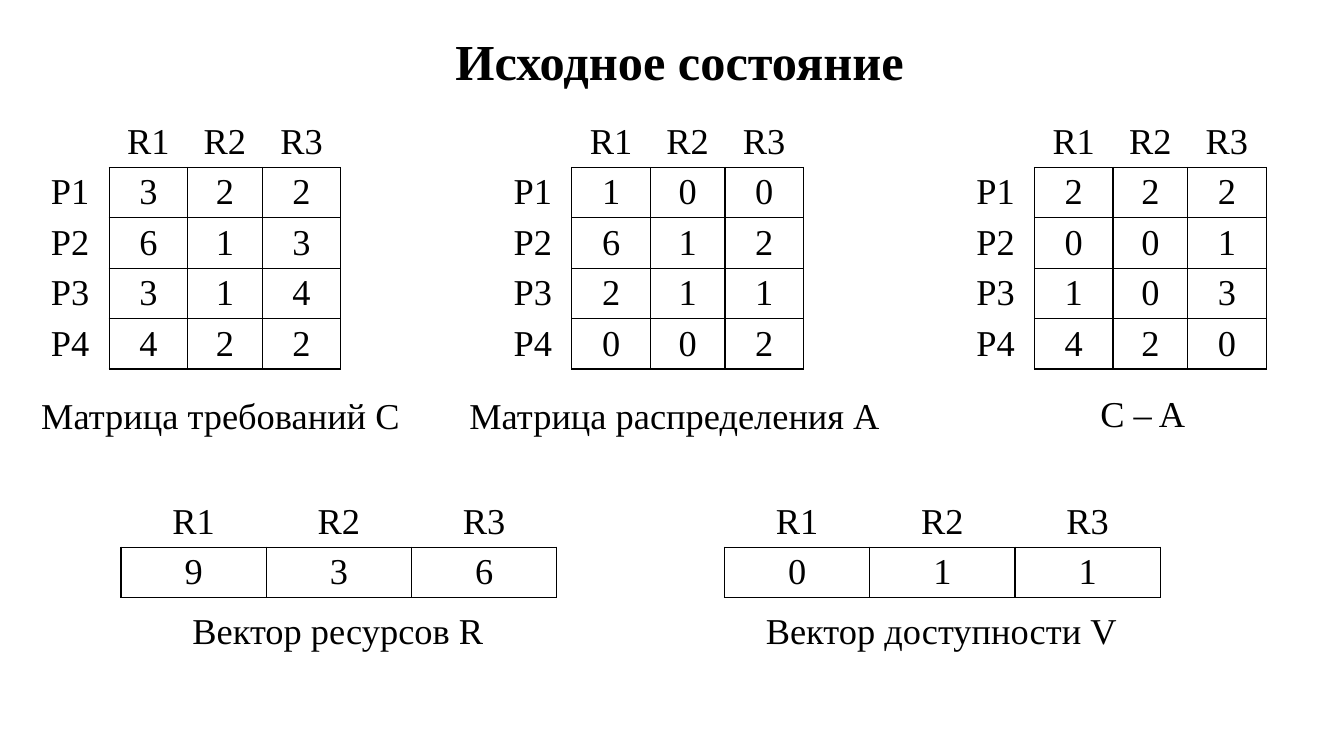
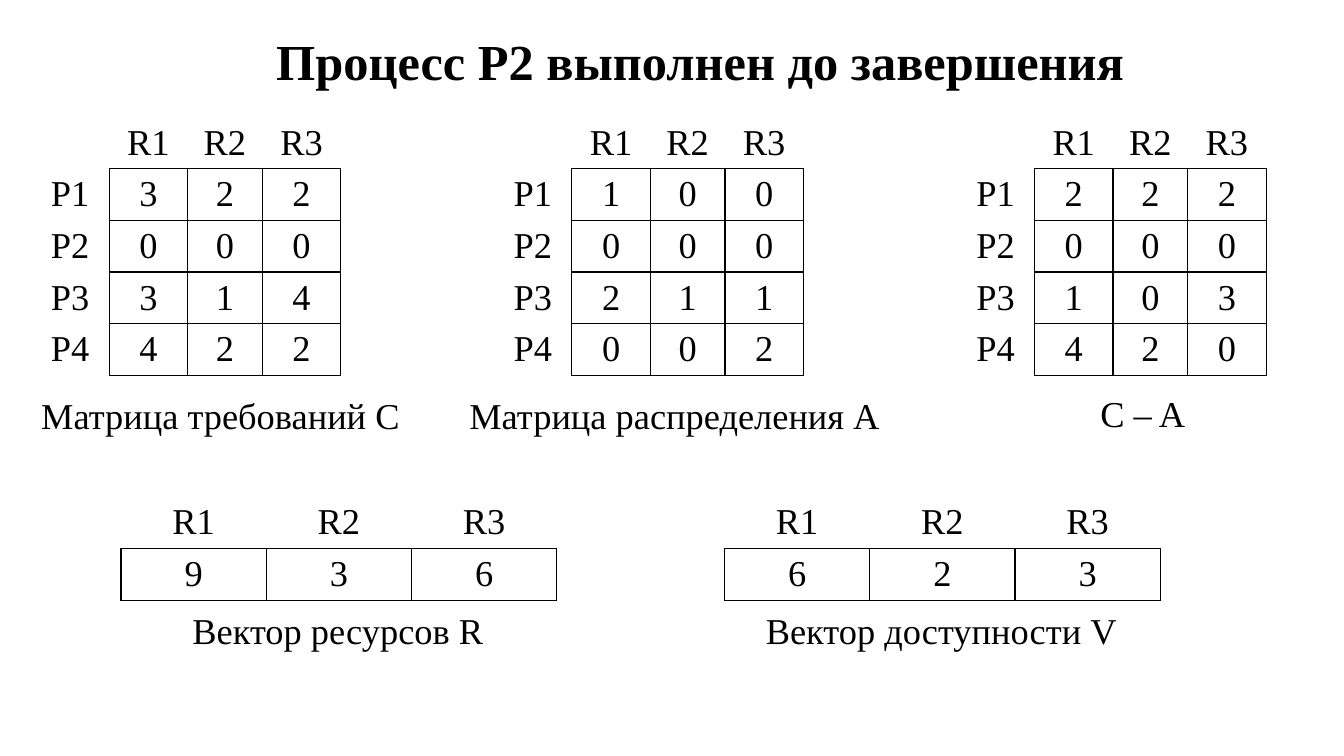
"""Build two slides that show the resource state before and after process P2 runs."""
from dataclasses import dataclass

from lxml.etree import SubElement
from pptx import Presentation
from pptx.dml.color import RGBColor
from pptx.enum.text import MSO_ANCHOR, MSO_AUTO_SIZE, PP_ALIGN
from pptx.oxml import parse_xml
from pptx.oxml.ns import nsdecls, qn
from pptx.util import Cm, Pt

HEADS = ["R1", "R2", "R3"]
TASKS = ["P1", "P2", "P3", "P4"]
STOCK = [9, 3, 6]
STATES = [
    {
        "title": ("Исходное состояние", 11.23, 11.94),
        "claims": [[3, 2, 2], [6, 1, 3], [3, 1, 4], [4, 2, 2]],
        "grants": [[1, 0, 0], [6, 1, 2], [2, 1, 1], [0, 0, 2]],
    },
    {
        "title": ("Процесс P2 выполнен до завершения", 6.71, 22.12),
        "claims": [[3, 2, 2], [0, 0, 0], [3, 1, 4], [4, 2, 2]],
        "grants": [[1, 0, 0], [0, 0, 0], [2, 1, 1], [0, 0, 2]],
    },
]
LABELS = [
    ("Матрица требований C", 0.79, 9.78, 9.63),
    ("Матрица распределения A", 11.58, 9.78, 10.9),
    ("C – A", 27.48, 9.73, 2.67),
    ("Вектор ресурсов R", 4.6, 15.21, 7.9),
    ("Вектор доступности V", 19.05, 15.21, 9.42),
]


@dataclass(frozen=True)
class Theme:
    font: str = "Times New Roman"
    ink: str = "000000"
    paper: str = "FFFFFF"
    title: int = 36
    body: int = 26
    line: int = 1


THEME = Theme()
PLAIN = "{2D5ABB26-0587-4C30-8999-92F81FD0307C}"
ROW = 1.27
PAD = 0.1
GRID = {"left": 0.79, "top": 2.95, "step": 11.66, "cols": [1.96, 1.98, 1.88, 1.98]}
STRIP = {"left": 3.05, "top": 12.52, "step": 15.21, "cols": [3.66] * 3}


def style(frame, size, bold=False):
    for run in frame.paragraphs[0].runs:
        run.font.name = THEME.font
        run.font.size = Pt(size)
        run.font.bold = bold
        run.font.color.rgb = RGBColor.from_string(THEME.ink)


def add_label(slide, text, left, top, width, size, bold=False):
    box = slide.shapes.add_textbox(Cm(left), Cm(top), Cm(width), Pt(size * 1.5))
    frame = box.text_frame
    frame.word_wrap = False
    frame.auto_size = MSO_AUTO_SIZE.SHAPE_TO_FIT_TEXT
    frame.text = text
    style(frame, size, bold)


def add_edges(cell, sides):
    props = cell._tc.get_or_add_tcPr()
    for spot, side in enumerate(sides):
        props.insert(spot, parse_xml(
            f'<a:ln{side} {nsdecls("a")} w="{Pt(THEME.line)}"><a:solidFill>'
            f'<a:srgbClr val="{THEME.ink}"/></a:solidFill></a:ln{side}>'))


def fill_cell(cell, text, sides):
    cell.margin_top = cell.margin_bottom = Cm(PAD)
    cell.vertical_anchor = MSO_ANCHOR.MIDDLE
    cell.fill.background()
    cell.text_frame.text = str(text)
    cell.text_frame.paragraphs[0].alignment = PP_ALIGN.CENTER
    style(cell.text_frame, THEME.body)
    add_edges(cell, sides)


def add_grid(slide, rows, place, index):
    widths = place["cols"]
    left = place["left"] + index * place["step"]
    table = slide.shapes.add_table(
        len(rows), len(widths), Cm(left), Cm(place["top"]),
        Cm(sum(widths)), Cm(ROW * len(rows))).table
    table.first_row = table.horz_banding = False
    props = table._tbl.tblPr
    for old in props.findall(qn("a:tableStyleId")):
        props.remove(old)
    SubElement(props, qn("a:tableStyleId")).text = PLAIN
    for col, width in zip(table.columns, widths):
        col.width = Cm(width)
    first = len(widths) - len(HEADS)
    for r, row in enumerate(rows):
        table.rows[r].height = Cm(ROW)
        for c, text in enumerate(row):
            if c < first:
                sides = "R" if r else ""
            else:
                sides = "LRTB" if r else "B"
            fill_cell(table.cell(r, c), text, sides)


def minus(first, second):
    return [a - b for a, b in zip(first, second)]


def add_state(deck, state):
    slide = deck.slides.add_slide(deck.slide_layouts[6])
    slide.background.fill.solid()
    slide.background.fill.fore_color.rgb = RGBColor.from_string(THEME.paper)
    claims, grants = state["claims"], state["grants"]
    needs = [minus(*pair) for pair in zip(claims, grants)]
    for i, data in enumerate([claims, grants, needs]):
        rows = [["", *HEADS]] + [[task, *row] for task, row in zip(TASKS, data)]
        add_grid(slide, rows, GRID, i)
    spare = minus(STOCK, [sum(col) for col in zip(*grants)])
    for i, data in enumerate([STOCK, spare]):
        add_grid(slide, [HEADS, data], STRIP, i)
    for label in LABELS:
        add_label(slide, *label, THEME.body)
    text, left, width = state["title"]
    add_label(slide, text, left, 0.64, width, THEME.title, True)


def main():
    deck = Presentation()
    deck.slide_width, deck.slide_height = Cm(33.87), Cm(19.05)
    for state in STATES:
        add_state(deck, state)
    deck.save("out.pptx")


if __name__ == "__main__":
    main()
